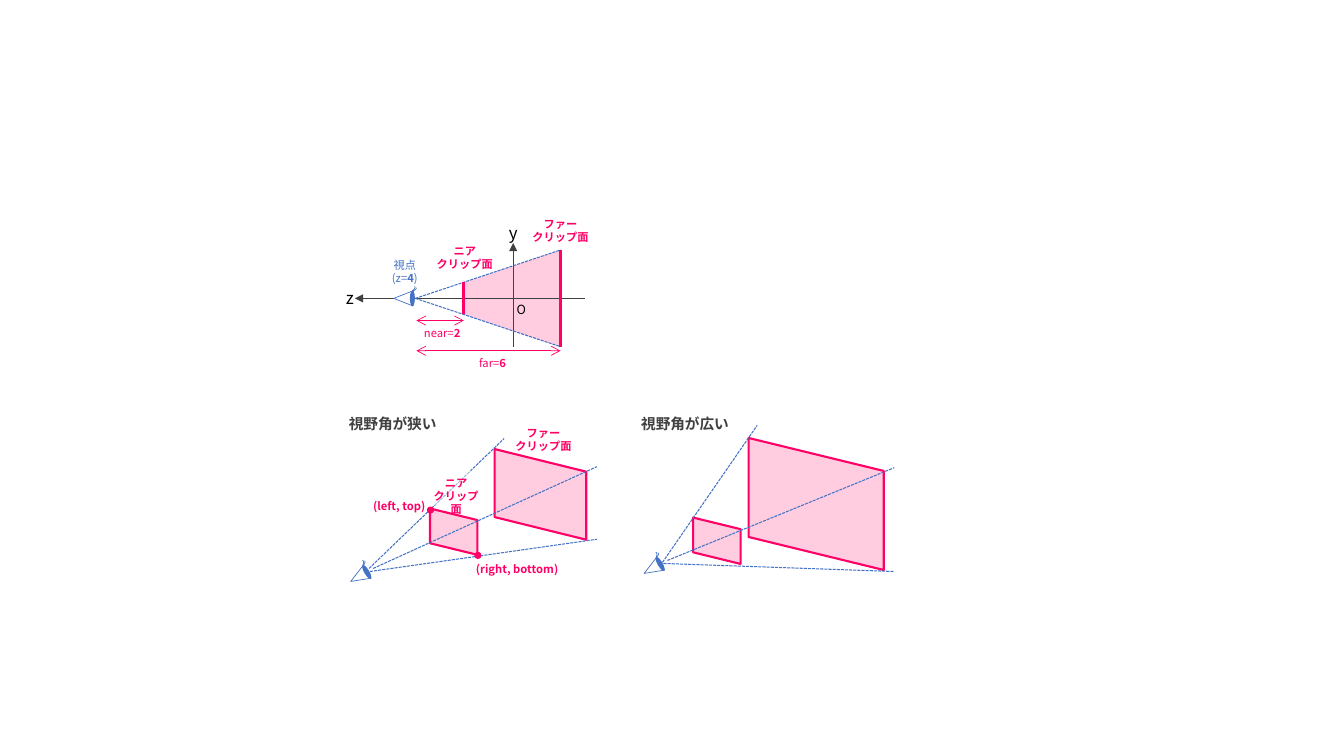
import math
from copy import deepcopy
from dataclasses import dataclass
from typing import Optional

from lxml import etree
from pptx import Presentation
from pptx.dml.color import RGBColor
from pptx.enum.shapes import MSO_CONNECTOR, MSO_SHAPE
from pptx.enum.text import MSO_ANCHOR, MSO_AUTO_SIZE, PP_ALIGN
from pptx.oxml.ns import qn
from pptx.util import Inches, Pt

COLS, ROWS = 133.3, 75
Point = tuple[float, float]


@dataclass(frozen=True)
class Theme:
    font: str = "Noto Sans CJK JP"
    pink: str = "FF0066"
    blue: str = "4472C4"
    gray: str = "404040"
    black: str = "000000"
    white: str = "FFFFFF"
    small: float = 8
    origin: float = 9
    heading: float = 10.5
    axis: float = 12
    thin: float = 0.5
    ray: float = 0.75
    outline: float = 1.5
    thick: float = 2.25
    leading: float = 1.17
    tint: int = 20
    veil: int = 50


@dataclass(frozen=True)
class Box:
    col: float
    row: float
    cols: float
    rows: float

    @classmethod
    def around(cls, center: Point, cols: float, rows: float) -> "Box":
        return cls(center[0] - cols / 2, center[1] - rows / 2, cols, rows)


@dataclass(frozen=True)
class Label:
    text: str
    box: Box
    color: str
    size: float
    align: PP_ALIGN = PP_ALIGN.CENTER
    veiled: bool = False


@dataclass(frozen=True)
class Stroke:
    start: Point
    end: Point
    color: str
    width: float
    dash: Optional[str] = None
    head: Optional[str] = None
    tail: Optional[str] = None


@dataclass(frozen=True)
class EyePart:
    kind: MSO_SHAPE
    offset: Point
    size: Point
    turn: float
    fill: Optional[str] = None
    line: Optional[str] = None


@dataclass(frozen=True)
class View:
    heading: str
    heading_box: Box
    planes: tuple[Box, ...]
    eye: Point
    rays: tuple[tuple[Point, Point], ...]


T = Theme()
prs = Presentation()
CELL = Inches(0.1)
prs.slide_width, prs.slide_height = round(COLS * CELL), round(ROWS * CELL)
slide = prs.slides.add_slide(prs.slide_layouts[4])


def emu(cells: float) -> int:
    return round(cells * CELL)


def place(shape, box: Box) -> None:
    shape.left, shape.top = emu(box.col), emu(box.row)
    shape.width, shape.height = emu(box.cols), emu(box.rows)


def paint(shape, color: str, opacity: int = 100) -> None:
    shape.fill.solid()
    shape.fill.fore_color.rgb = RGBColor.from_string(color)
    if opacity < 100:
        tone = shape.fill._xPr.find(".//" + qn("a:srgbClr"))
        etree.SubElement(tone, qn("a:alpha"), val=str(opacity * 1000))


def add_shape(kind: MSO_SHAPE, box: Box, fill: Optional[str] = None, line: Optional[str] = None,
              width: float = T.thin, turn: float = 0, opacity: int = 100, parent=slide):
    shape = parent.shapes.add_shape(kind, 0, 0, 0, 0)
    place(shape, box)
    shape.rotation = turn
    shape.shadow.inherit = False
    if fill:
        paint(shape, fill, opacity)
    else:
        shape.fill.background()
    if line:
        shape.line.color.rgb = RGBColor.from_string(line)
        shape.line.width = Pt(width)
    else:
        shape.line.fill.background()
    return shape


def add_stroke(s: Stroke) -> None:
    link = slide.shapes.add_connector(MSO_CONNECTOR.STRAIGHT, *map(emu, s.start + s.end))
    link.line.color.rgb = RGBColor.from_string(s.color)
    link.line.width = Pt(s.width)
    ln = link.line._get_or_add_ln()
    for tag, value, attr in (("prstDash", s.dash, "val"), ("headEnd", s.head, "type"),
                             ("tailEnd", s.tail, "type")):
        if value:
            etree.SubElement(ln, qn("a:" + tag)).set(attr, value)
    etree.SubElement(link._element.spPr, qn("a:effectLst"))


def add_ray(start: Point, end: Point) -> None:
    add_stroke(Stroke(start, end, T.blue, T.ray, dash="sysDash"))


def write(shape, label: Label, bold: bool = False) -> None:
    frame = shape.text_frame
    frame.word_wrap, frame.auto_size = True, MSO_AUTO_SIZE.NONE
    frame.vertical_anchor = MSO_ANCHOR.TOP
    frame.margin_left = emu(1 if label.align == PP_ALIGN.LEFT else 0)
    frame.margin_right, frame.margin_top, frame.margin_bottom = 0, emu(0.6), 0
    for index, text in enumerate(label.text.split("\n")):
        para = frame.add_paragraph() if index else frame.paragraphs[0]
        para.alignment, para.line_spacing = label.align, Pt(label.size * T.leading)
        para.space_before = Pt(0)
        for span, piece in enumerate(text.split("*")):
            for row, words in enumerate(piece.split("\v")):
                if row:
                    para.add_line_break()
                if not words:
                    continue
                run = para.add_run()
                run.text = words
                run.font.size, run.font.name = Pt(label.size), T.font
                run.font.bold = bold or span % 2 == 1
                run.font.color.rgb = RGBColor.from_string(label.color)
                etree.SubElement(run.font._element, qn("a:ea"), typeface=T.font)
        for gap in para._p.findall(qn("a:br")):
            gap.insert(0, deepcopy(para.runs[0].font._element))


def add_label(label: Label) -> None:
    shape = slide.shapes.add_textbox(0, 0, 0, 0)
    place(shape, label.box)
    if label.veiled:
        paint(shape, T.white, T.veil)
    write(shape, label)


EYE_PARTS = (
    EyePart(MSO_SHAPE.ISOSCELES_TRIANGLE, (0, 0), (1.5, 1.9), 270, T.white, T.blue),
    EyePart(MSO_SHAPE.OVAL, (0.9, 0), (0.5, 1.6), 0, T.blue),
    EyePart(MSO_SHAPE.ARC, (0.9, -1), (0.5, 0.8), 82.3, line=T.blue),
    EyePart(MSO_SHAPE.ARC, (0.8, -1), (0.5, 0.8), 58, line=T.blue),
)


def add_eye(center: Point, tilt: float = 0) -> None:
    group = slide.shapes.add_group_shape()
    c, s = math.cos(math.radians(tilt)), math.sin(math.radians(tilt))
    for part in EYE_PARTS:
        x, y = part.offset
        middle = (center[0] + x * c - y * s, center[1] + x * s + y * c)
        add_shape(part.kind, Box.around(middle, *part.size), part.fill, part.line,
                  turn=(part.turn + tilt) % 360, parent=group)


def draw_side_view() -> None:
    unit, slope, eye_x, axis_y = 2.4, 1 / 3, 41.2, 29.6
    near, far = 2 * unit, 6 * unit
    near_x, far_x, origin_x = eye_x + near, eye_x + far, eye_x + 4 * unit + 0.1
    depth, height = far - near, 2 * far * slope
    volume = add_shape(MSO_SHAPE.TRAPEZOID, Box.around(((near_x + far_x) / 2, axis_y), height, depth),
                       T.pink, turn=270, opacity=T.tint)
    volume.adjustments[0] = depth * slope / min(depth, height)
    add_stroke(Stroke((58, axis_y), (35.2, axis_y), T.gray, T.thin, tail="triangle"))
    add_eye((40, axis_y))
    add_stroke(Stroke((origin_x, 34.4), (origin_x, 24.1), T.gray, T.thin, tail="triangle"))
    for side in (-1, 1):
        add_ray((eye_x, axis_y), (far_x, axis_y + side * far * slope))
    for distance in (near, far):
        x, half = eye_x + distance, distance * slope
        add_stroke(Stroke((x, axis_y - half), (x, axis_y + half), T.pink, T.thick))
    for end_x, y in ((near_x, 31.8), (far_x, 34.8)):
        add_stroke(Stroke((eye_x + 0.1, y), (end_x, y), T.pink, T.thin, head="arrow", tail="arrow"))


def draw_view(view: View, placeholder) -> None:
    place(placeholder, view.heading_box)
    write(placeholder, Label(view.heading, view.heading_box, T.gray, T.heading, PP_ALIGN.LEFT), bold=True)
    for plane in view.planes:
        add_shape(MSO_SHAPE.PARALLELOGRAM, plane, T.pink, T.pink, T.outline, 90, T.tint)
    add_eye(view.eye, -30.7)
    for start, end in view.rays:
        add_ray(start, end)


VIEWS = {
    1: View("視野角が狭い", Box(33.6, 40.6, 11.2, 2.8),
            (Box(42.7, 50.4, 4.6, 4.7), Box(49.1, 44.5, 9, 9.1)), (35.6, 57.2),
            (((36.6, 56.4), (50, 43.5)), ((36.7, 56.7), (59.2, 53.5)), ((37, 56.4), (59.2, 46.3)))),
    3: View("視野角が広い", Box(62.6, 40.6, 11.2, 2.8),
            (Box(68.8, 51.3, 4.6, 4.7), Box(74.4, 43.3, 13.1, 13.4)), (64.7, 56.4),
            (((65.7, 55.8), (75.1, 42.2)), ((65.8, 55.9), (88.7, 56.7)), ((66.2, 55.6), (88.7, 46.4)))),
}
NEAR_PLANE, FAR_PLANE = "*ニア\vクリップ面*", "*ファー\vクリップ面*"
LABELS = (
    Label("y", Box(49.5, 21.6, 2.4, 3), T.black, T.axis, PP_ALIGN.LEFT),
    Label("z", Box(33.5, 28, 2.4, 3), T.black, T.axis),
    Label("視点\n(z=*4*)", Box(37.2, 25.1, 5.9, 3.7), T.blue, T.small),
    Label("O", Box(50.5, 29.4, 2.4, 2.5), T.black, T.origin),
    Label("near=*2*", Box(40.9, 31.8, 5.9, 2.4), T.pink, T.small),
    Label("far=*6*", Box(45.9, 34.8, 5.9, 2.4), T.pink, T.small),
    Label(NEAR_PLANE, Box(42.2, 23.7, 7.8, 3.7), T.pink, T.small),
    Label(FAR_PLANE, Box(51.7, 21, 7.8, 3.7), T.pink, T.small),
    Label(FAR_PLANE, Box(50, 41.7, 7.8, 3.7), T.pink, T.small),
    Label(NEAR_PLANE, Box(42.5, 46.7, 5.5, 3.4), T.pink, T.small, veiled=True),
    Label("*(left, top)*", Box(35.7, 49, 7.8, 2.4), T.pink, T.small),
    Label("*(right, bottom)*", Box(46.1, 55.2, 10.4, 2.3), T.pink, T.small),
)
CORNERS = ((42.7, 50.6), (47.4, 55.1))

draw_side_view()
for holder in list(slide.placeholders):
    view = VIEWS.get(holder.placeholder_format.idx)
    if view:
        draw_view(view, holder)
    else:
        holder._element.getparent().remove(holder._element)
for label in LABELS:
    add_label(label)
for corner in CORNERS:
    add_shape(MSO_SHAPE.OVAL, Box.around(corner, 0.7, 0.7), T.pink)
prs.save("out.pptx")
